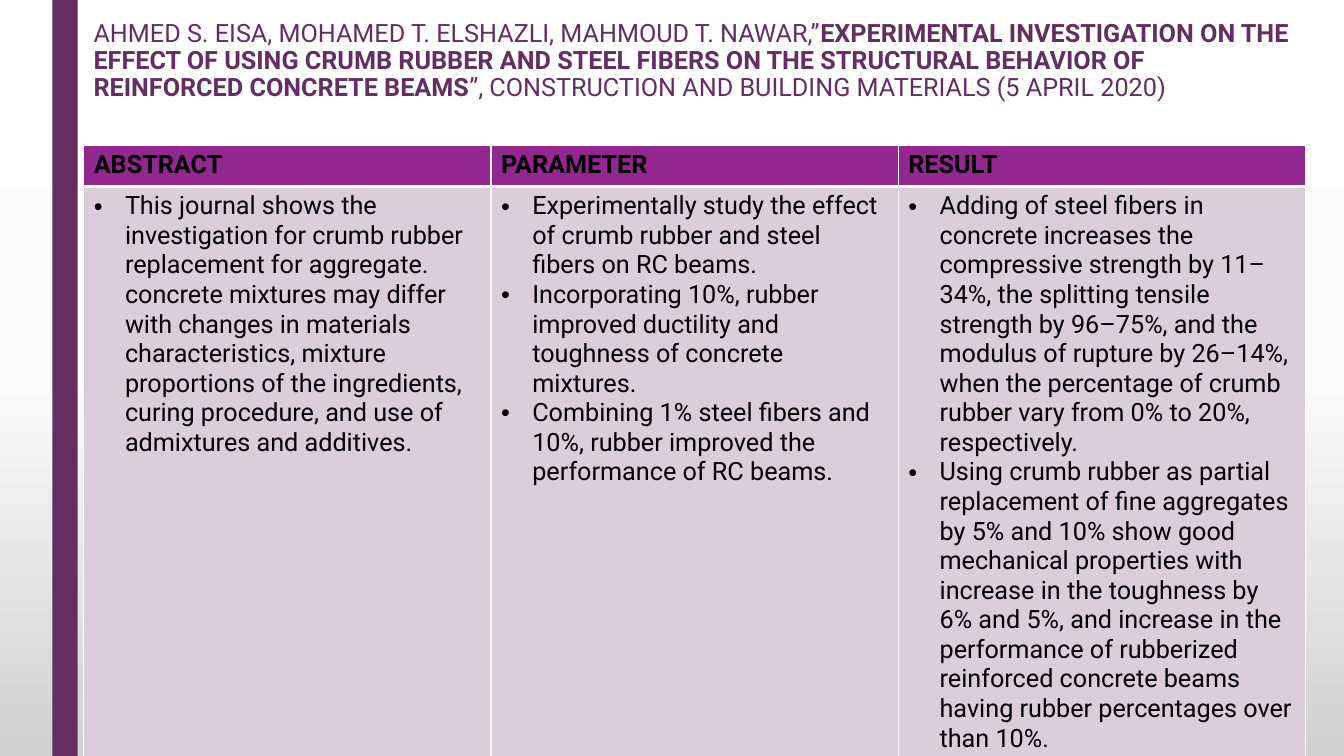
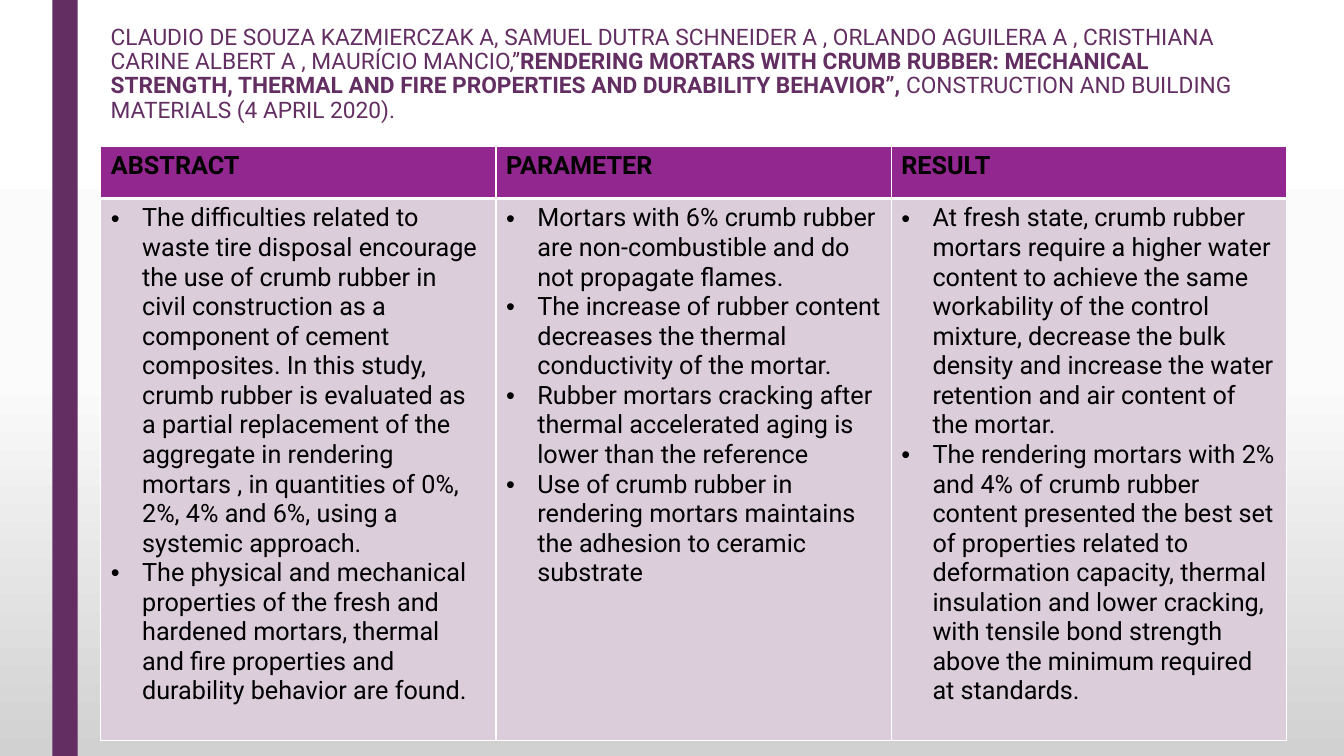
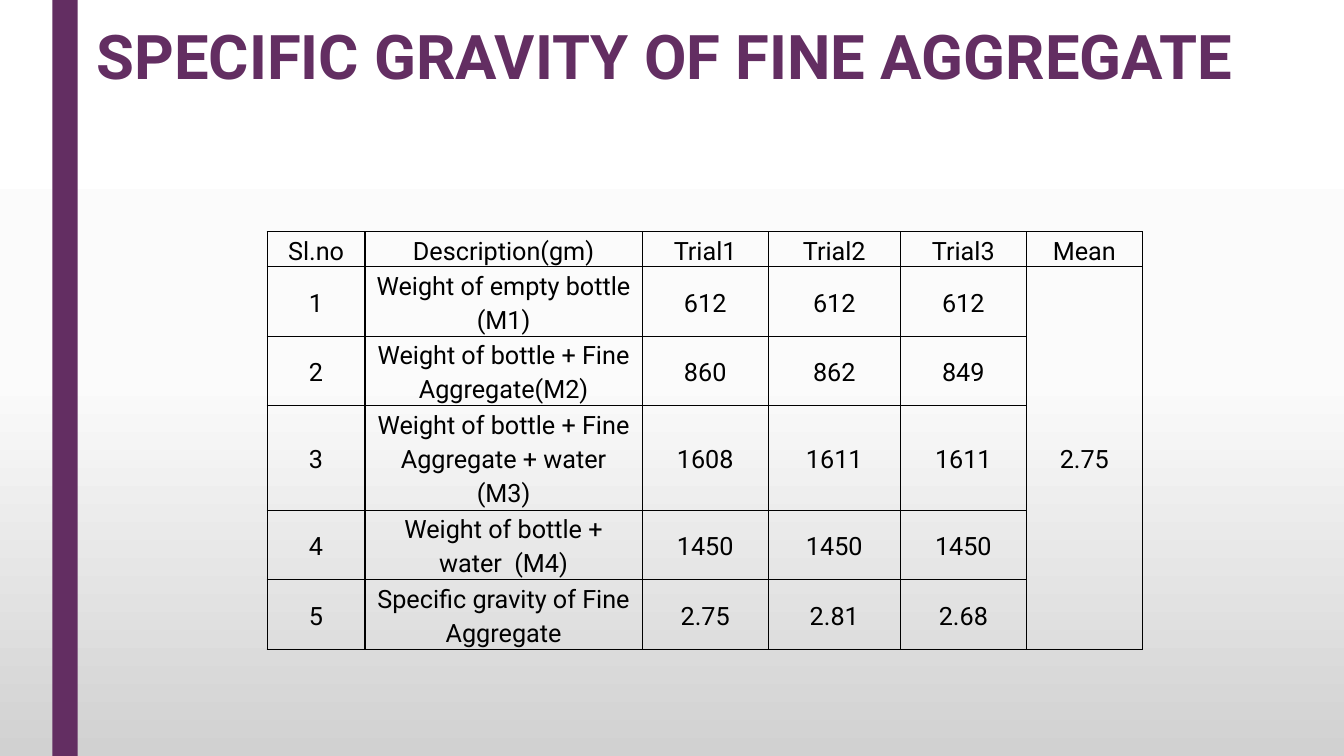
from copy import deepcopy

from lxml.etree import SubElement
from pptx import Presentation
from pptx.dml.color import RGBColor as Rgb
from pptx.enum.shapes import MSO_SHAPE as Preset
from pptx.enum.text import MSO_ANCHOR as Anchor, PP_ALIGN as Align
from pptx.oxml.ns import qn
from pptx.util import Inches, Pt

COLORS = {
    "plum": "632E62", "header": "92278F", "body": "DCCDDB",
    "white": "FFFFFF", "mist": "FBFBFB", "gray": "D1D1D1", "black": "000000",
}
FONT = "Roboto"
HEADINGS = ["ABSTRACT", "PARAMETER", "RESULT"]


def rgb(name):
    return Rgb.from_string(COLORS[name])


def write(frame, paragraphs, size=18, color="black", bold=False,
          align=Align.LEFT, spacing=None, bullet=False):
    """Fill a text frame; a paragraph is a string or a list of (text, bold)."""
    frame.word_wrap = True
    for index, content in enumerate(paragraphs):
        paragraph = frame.paragraphs[0] if index == 0 else frame.add_paragraph()
        paragraph.alignment = align
        if spacing:
            paragraph.line_spacing = spacing
        if bullet:
            props = paragraph._p.get_or_add_pPr()
            props.set("marL", str(Inches(0.31)))
            props.set("indent", str(-Inches(0.31)))
            SubElement(props, qn("a:buFont"), typeface="Arial")
            SubElement(props, qn("a:buChar"), char="•")
        pieces = [(content, bold)] if isinstance(content, str) else content
        for text, heavy in pieces:
            run = paragraph.add_run()
            run.text = text
            run.font.name = FONT
            run.font.size = Pt(size)
            run.font.bold = heavy
            run.font.color.rgb = rgb(color)


def set_borders(cell, color, left=1, right=1, top=1, bottom=1):
    props = cell._tc.get_or_add_tcPr()
    sides = {"lnL": left, "lnR": right, "lnT": top, "lnB": bottom}
    for position, (side, width) in enumerate(sides.items()):
        line = SubElement(props, qn(f"a:{side}"), w=str(Pt(width)))
        fill = SubElement(line, qn("a:solidFill"))
        SubElement(fill, qn("a:srgbClr"), val=COLORS[color])
        props.insert(position, line)


class Deck:
    def __init__(self):
        self.prs = Presentation()
        self.prs.slide_width = Inches(13.33)
        self.prs.slide_height = Inches(7.5)
        self.slide = None
        self.set_background()

    def set_background(self):
        master = self.prs.slide_master
        fill = master.background.fill
        fill.gradient()
        fill.gradient_angle = 270
        first = next(master.element.iter(qn("a:gs")))
        first.addnext(deepcopy(first))
        shades = [(0, "white"), (0.5, "mist"), (1, "gray")]
        for stop, (position, shade) in zip(fill.gradient_stops, shades):
            stop.position = position
            stop.color.rgb = rgb(shade)

    def new_slide(self):
        self.slide = self.prs.slides.add_slide(self.prs.slide_layouts[6])
        band = self.slide.shapes.add_shape(
            Preset.RECTANGLE, Inches(0.52), 0, Inches(0.25), self.prs.slide_height)
        band.shadow.inherit = False
        band.fill.solid()
        band.fill.fore_color.rgb = rgb("plum")
        band.line.fill.background()

    def title(self, box, content, **style):
        frame = self.slide.shapes.add_textbox(*map(Inches, box)).text_frame
        write(frame, [content], color="plum", **style)

    def table(self, left, top, widths, heights):
        grid = self.slide.shapes.add_table(
            len(heights), len(widths), Inches(left), Inches(top),
            Inches(sum(widths)), Inches(sum(heights))).table
        grid.first_row = grid.horz_banding = False
        for column, width in zip(grid.columns, widths):
            column.width = Inches(width)
        for row, height in zip(grid.rows, heights):
            row.height = Inches(height)
        return grid

    def review_table(self, left, top, width, heights, findings):
        grid = self.table(left, top, [width] * len(HEADINGS), heights)
        for col, (heading, points) in enumerate(zip(HEADINGS, findings)):
            head, body = grid.cell(0, col), grid.cell(1, col)
            for cell, shade in ((head, "header"), (body, "body")):
                cell.fill.solid()
                cell.fill.fore_color.rgb = rgb(shade)
            set_borders(head, "white", bottom=3)
            set_borders(body, "white", top=3)
            write(head.text_frame, [heading], bold=True)
            write(body.text_frame, points, bullet=True)

    def trial_table(self, left, top, widths, heights, rows):
        grid = self.table(left, top, widths, heights)
        grid.cell(1, len(widths) - 1).merge(grid.cell(len(heights) - 1, len(widths) - 1))
        for r, values in enumerate(rows):
            for c in range(len(widths)):
                cell = grid.cell(r, c)
                cell.margin_left = cell.margin_right = Inches(0.07)
                cell.margin_top = cell.margin_bottom = 0
                cell.vertical_anchor = Anchor.MIDDLE
                cell.fill.background()
                set_borders(cell, "black")
                if c < len(values):
                    write(cell.text_frame, [values[c]], align=Align.CENTER, spacing=1.15)


def main():
    deck = Deck()

    # Review: steel fibers and crumb rubber in beams
    deck.new_slide()
    deck.title((0.83, 0.16, 12.13, 1.14), [
        ("AHMED S. EISA, MOHAMED T. ELSHAZLI, MAHMOUD T. NAWAR,”", False),
        ("EXPERIMENTAL INVESTIGATION ON THE EFFECT OF USING CRUMB RUBBER AND STEEL "
         "FIBERS ON THE STRUCTURAL BEHAVIOR OF REINFORCED CONCRETE BEAMS", True),
        ("”, CONSTRUCTION AND BUILDING MATERIALS (5 APRIL 2020)", False),
    ], spacing=0.89)
    deck.review_table(0.83, 1.44, 4.04, [0.41, 5.5], [
        ["This journal shows the investigation for crumb rubber replacement for "
         "aggregate. concrete mixtures may differ with changes in materials "
         "characteristics, mixture proportions of the ingredients, curing procedure, "
         "and use of admixtures and additives."],
        ["Experimentally study the effect of crumb rubber and steel fibers on RC beams.",
         "Incorporating 10%, rubber improved ductility and toughness of concrete mixtures.",
         "Combining 1% steel fibers and 10%, rubber improved the performance of RC beams."],
        ["Adding of steel fibers in concrete increases the compressive strength by "
         "11–34%, the splitting tensile strength by 96–75%, and the modulus of rupture "
         "by 26–14%, when the percentage of crumb rubber vary from 0% to 20%, "
         "respectively.",
         "Using crumb rubber as partial replacement of fine aggregates by 5% and 10% "
         "show good mechanical properties with increase in the toughness by 6% and 5%, "
         "and increase in the performance of rubberized reinforced concrete beams "
         "having rubber percentages over than 10%."],
    ])

    # Review: rendering mortars
    deck.new_slide()
    deck.title((1, 0.21, 11.34, 1.08), [
        ("CLAUDIO DE SOUZA KAZMIERCZAK A, SAMUEL DUTRA SCHNEIDER A , ORLANDO AGUILERA "
         "A , CRISTHIANA CARINE ALBERT A , MAURÍCIO MANCIO,”", False),
        ("RENDERING MORTARS WITH CRUMB RUBBER: MECHANICAL STRENGTH, THERMAL AND FIRE "
         "PROPERTIES AND DURABILITY BEHAVIOR”, ", True),
        ("CONSTRUCTION AND BUILDING MATERIALS (4 APRIL 2020).", False),
    ], size=16.2, spacing=0.89)
    deck.review_table(1, 1.45, 3.92, [0.52, 5.38], [
        ["The difficulties related to waste tire disposal encourage the use of crumb "
         "rubber in civil construction as a component of cement composites. In this "
         "study, crumb rubber is evaluated as a partial replacement of the aggregate in "
         "rendering mortars , in quantities of 0%, 2%, 4% and 6%, using a systemic "
         "approach.",
         "The physical and mechanical properties of the fresh and hardened mortars, "
         "thermal and fire properties and durability behavior are found."],
        ["Mortars with 6% crumb rubber are non-combustible and do not propagate flames.",
         "The increase of rubber content decreases the thermal conductivity of the mortar.",
         "Rubber mortars cracking after thermal accelerated aging is lower than the "
         "reference",
         "Use of crumb rubber in rendering mortars maintains the adhesion to ceramic "
         "substrate"],
        ["At fresh state, crumb rubber mortars require a higher water content to achieve "
         "the same workability of the control mixture, decrease the bulk density and "
         "increase the water retention and air content of the mortar.",
         "The rendering mortars with 2% and 4% of crumb rubber content presented the "
         "best set of properties related to deformation capacity, thermal insulation "
         "and lower cracking, with tensile bond strength above the minimum required at "
         "standards."],
    ])

    # Specific gravity trials
    deck.new_slide()
    deck.title((0.86, 0.21, 12.47, 0.96), "SPECIFIC GRAVITY OF FINE AGGREGATE",
               size=44, bold=True, spacing=0.9)
    deck.trial_table(
        2.65, 2.3, [0.97, 2.75, 1.25, 1.31, 1.25, 1.15],
        [0.28, 0.69, 0.69, 0.84, 0.69, 0.69], [
            ["Sl.no", "Description(gm)", "Trial1", "Trial2", "Trial3", "Mean"],
            ["1", "Weight of empty bottle (M1)", "612", "612", "612", "2.75"],
            ["2", "Weight of bottle + Fine Aggregate(M2)", "860", "862", "849"],
            ["3", "Weight of bottle + Fine Aggregate + water (M3)", "1608", "1611", "1611"],
            ["4", "Weight of bottle + water  (M4)", "1450", "1450", "1450"],
            ["5", "Specific gravity of Fine Aggregate", "2.75", "2.81", "2.68"],
        ])

    deck.prs.save("out.pptx")


if __name__ == "__main__":
    main()
